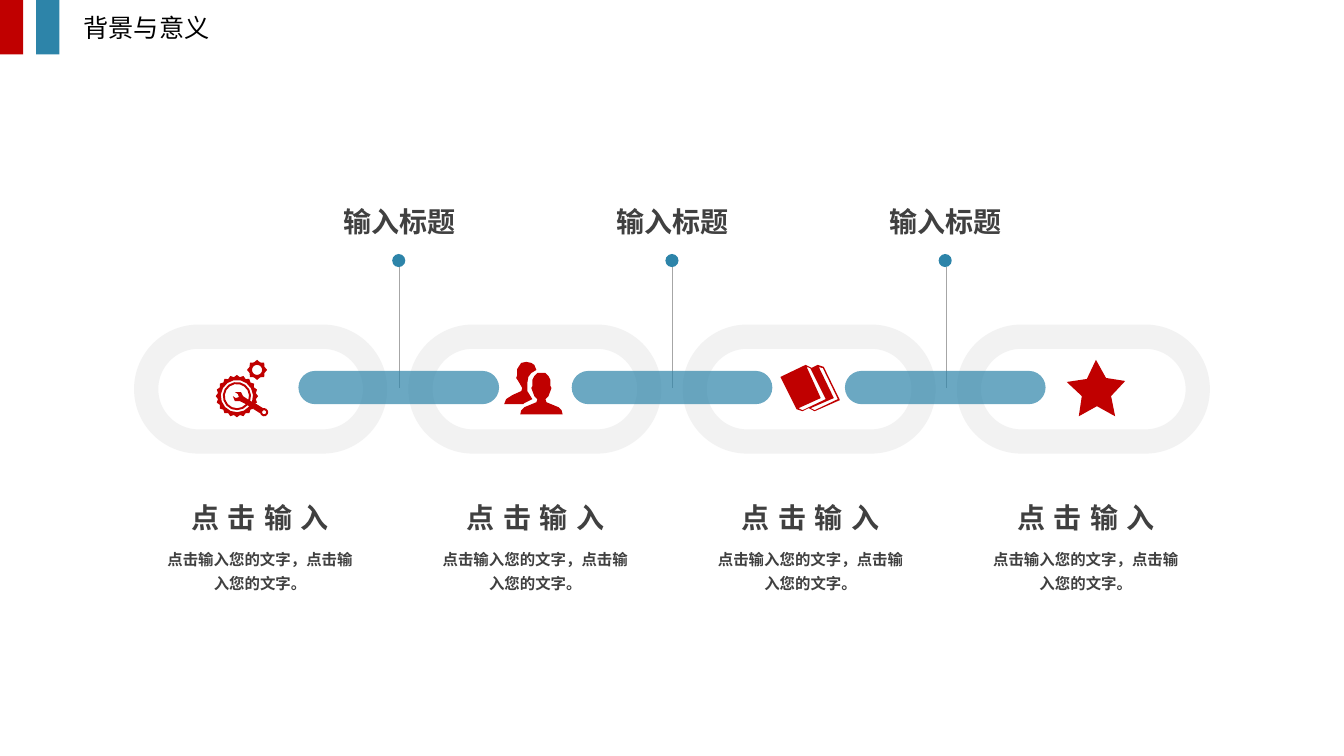
from dataclasses import dataclass
from math import cos, radians, sin

from lxml.etree import SubElement
from pptx import Presentation
from pptx.dml.color import RGBColor as Rgb
from pptx.enum.shapes import MSO_CONNECTOR as Link, MSO_SHAPE as Kind
from pptx.enum.text import MSO_ANCHOR as Anchor, PP_ALIGN as Align
from pptx.oxml.ns import qn
from pptx.util import Inches, Pt


@dataclass(frozen=True)
class Theme:
    red: str = "C00000"
    blue: str = "2D84A9"
    pale: str = "F2F2F2"
    gray: str = "A6A6A6"
    dark: str = "404040"
    black: str = "000000"
    face: str = "Noto Sans CJK SC"
    title: int = 18
    head: int = 20
    body: int = 11
    hair: float = 0.25


THEME = Theme()
BAND = 0.24
PIN_TOP, AXIS = 2.65, 3.85


def paint(shape, color, alpha=None):
    shape.shadow.inherit = False
    shape.fill.solid()
    shape.fill.fore_color.rgb = Rgb.from_string(color)
    shape.line.fill.background()
    if alpha:
        tone = shape._element.spPr.find(".//" + qn("a:srgbClr"))
        SubElement(tone, qn("a:alpha")).set("val", str(alpha * 1000))


def add_form(slide, kind, box, color, alpha=None):
    shape = slide.shapes.add_shape(kind, *map(Inches, box))
    paint(shape, color, alpha)
    return shape


def add_pill(slide, box, color, alpha=None):
    shape = add_form(slide, Kind.ROUNDED_RECTANGLE, box, color, alpha)
    shape.adjustments[0] = 0.5
    return shape


def add_free(slide, loops, color):
    loops = [[(Inches(x), Inches(y)) for x, y in loop] for loop in loops]
    pen = slide.shapes.build_freeform(*loops[0][0])
    for index, loop in enumerate(loops):
        if index:
            pen.move_to(*loop[0])
        pen.add_line_segments(loop[1:], close=True)
    paint(pen.convert_to_shape(), color)


def add_text(slide, text, box, size, color=THEME.dark, bold=True,
             align=Align.CENTER, anchor=Anchor.TOP, lead=None, gap=None):
    frame = slide.shapes.add_textbox(*map(Inches, box)).text_frame
    frame.word_wrap = True
    frame.vertical_anchor = anchor
    para = frame.paragraphs[0]
    for name, value in {"alignment": align, "line_spacing": lead}.items():
        setattr(para, name, value)
    run = para.add_run()
    run.text = text
    style = {"name": THEME.face, "size": Pt(size), "bold": bold}
    for name, value in style.items():
        setattr(run.font, name, value)
    run.font.color.rgb = Rgb.from_string(color)
    props = run._r.get_or_add_rPr()
    SubElement(props, qn("a:ea")).set("typeface", THEME.face)
    if gap:
        props.set("spc", str(gap * 100))


def arc(x, y, radius, start=0, end=360, teeth=0, depth=0):
    pitch = 180 / teeth if teeth else 24
    count = round(abs(end - start) / pitch)
    points = []
    for step in range(count + 1):
        turn = radians(start + (end - start) * step / count)
        reach = radius + depth * cos(teeth * turn)
        points.append((x + reach * cos(turn), y + reach * sin(turn)))
    return points


def add_ring(slide, left):
    box = (left + BAND / 2, 3.34, 2.27, 1.04)
    ring = add_pill(slide, box, THEME.pale)
    ring.fill.background()
    ring.line.width = Inches(BAND)
    ring.line.color.rgb = Rgb.from_string(THEME.pale)


def add_pin(slide, x):
    line = slide.shapes.add_connector(
        Link.STRAIGHT, *map(Inches, (x, AXIS, x, PIN_TOP)))
    line.line.width = Pt(THEME.hair)
    line.line.color.rgb = Rgb.from_string(THEME.gray)
    SubElement(line._element.spPr, qn("a:effectLst"))
    add_form(slide, Kind.OVAL, (x - 0.07, 2.52, 0.13, 0.13), THEME.blue)
    add_text(slide, "输入标题", (x - 1.09, 1.97, 2.18, 0.46), THEME.head,
             anchor=Anchor.MIDDLE)


def add_note(slide, left):
    add_text(slide, "点击输入您的文字，点击输入您的文字。",
             (left, 5.35, 2.08, 0.61), THEME.body, lead=1.3)
    add_text(slide, "点击输入", (left, 4.93, 2.08, 0.42), THEME.head,
             anchor=Anchor.BOTTOM, lead=0.9, gap=6)


def gears():
    hub = (2.35, 3.93)
    wheel = arc(*hub, 0.2, 36, 378, 20, 0.01)
    shaft = [(2.53, 4), (2.61, 4.05), *arc(2.62, 4.09, 0.04, -80, 170),
             (2.58, 4.1), (2.5, 4.05)]
    band = arc(*hub, 0.16, 40, 380) + arc(*hub, 0.14, 380, 40)
    jaw = [(2.47, 3.97), (2.41, 3.93), (2.39, 3.89), (2.33, 3.89),
           (2.36, 3.91), (2.37, 3.94), (2.34, 3.95), (2.31, 3.93),
           (2.33, 3.98), (2.38, 3.98), (2.44, 4.01)]
    return [wheel + shaft, band, jaw + arc(*hub, 0.12, 42, 379),
            arc(2.62, 4.09, 0.02), arc(2.55, 3.67, 0.09, teeth=8, depth=0.01),
            arc(2.55, 3.67, 0.05)]


def people():
    half = [(0, 3.7), (0.04, 3.7), (0.07, 3.73), (0.09, 3.77), (0.09, 3.83),
            (0.1, 3.85), (0.07, 3.93), (0.04, 3.96), (0.05, 3.99),
            (0.17, 4.04), (0.2, 4.07), (0.21, 4.11)]
    front = [(5.37 + x, y) for x, y in half]
    front += [(5.37 - x, y) for x, y in reversed(half)]
    back = [(5.2, 4), (5.28, 3.96), (5.23, 3.88), (5.23, 3.8),
            (5.24, 3.74), (5.27, 3.7), (5.32, 3.67), (5.3, 3.62),
            (5.27, 3.6), (5.22, 3.59), (5.17, 3.6), (5.13, 3.66),
            (5.13, 3.72), (5.12, 3.75), (5.14, 3.78), (5.18, 3.85),
            (5.17, 3.88), (5.08, 3.92), (5.02, 3.96), (5, 4.01),
            (5.19, 4.01)]
    return [front, back]


def books():
    cover = [(8.17, 3.64), (8.11, 3.62), (8.05, 3.65), (7.99, 3.62),
             (7.74, 3.74), (7.9, 4.06), (7.96, 4.08), (8.02, 4.05),
             (8.08, 4.08), (8.33, 3.97)]
    near = [(8.03, 3.65), (8.04, 3.66), (8.19, 3.96), (7.96, 4.07),
            (7.92, 4.05), (8.14, 3.95), (8, 3.64)]
    far = [(8.15, 3.65), (8.16, 3.65), (8.31, 3.96), (8.08, 4.07),
           (8.04, 4.05), (8.27, 3.95), (8.12, 3.64)]
    return [cover, near, far]


def star():
    return [[(11.16, 3.78), (10.97, 3.75), (10.87, 3.57), (10.78, 3.76),
             (10.58, 3.79), (10.73, 3.93), (10.7, 4.13), (10.88, 4.03),
             (11.06, 4.13), (11.02, 3.93)]]


def main():
    deck = Presentation()
    deck.slide_width, deck.slide_height = Inches(13.33), Inches(7.5)
    slide = deck.slides.add_slide(deck.slide_layouts[6])
    for index in range(4):
        add_ring(slide, 1.33 + 2.72 * index)
        add_note(slide, 1.54 + 2.73 * index)
    for index in range(3):
        x = 3.96 + 2.71 * index
        add_pin(slide, x)
        add_pill(slide, (x - 1, 3.68, 1.99, 0.33), THEME.blue, 70)
    for icon in (gears, people, books, star):
        add_free(slide, icon(), THEME.red)
    for left, color in ((0.36, THEME.blue), (0, THEME.red)):
        add_form(slide, Kind.RECTANGLE, (left, 0, 0.23, 0.54), color)
    add_text(slide, "背景与意义", (0.73, 0.07, 3.72, 0.4), THEME.title,
             THEME.black, bold=False, align=Align.LEFT)
    deck.save("out.pptx")


if __name__ == "__main__":
    main()
